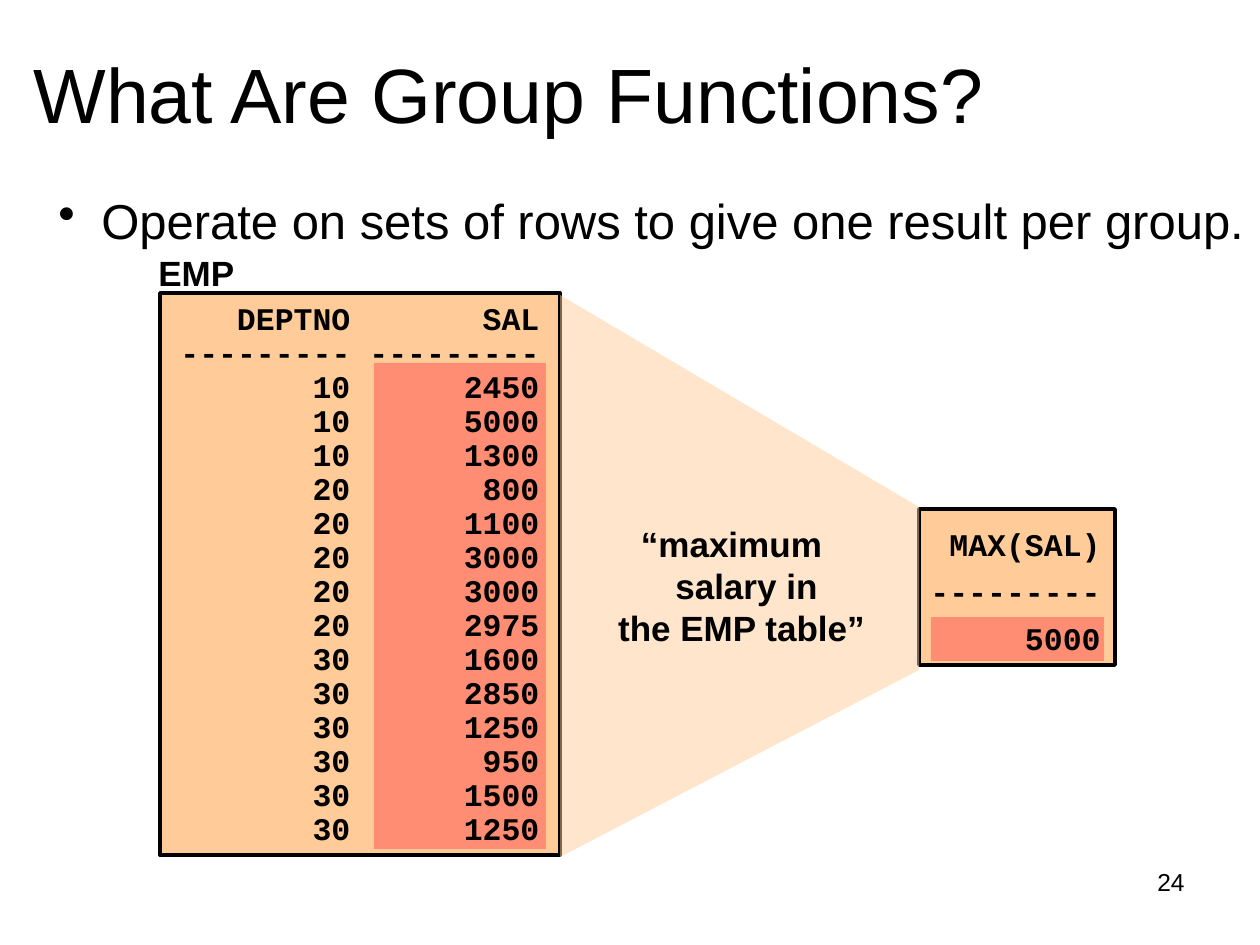
from lxml.etree import SubElement
from pptx import Presentation
from pptx.dml.color import RGBColor
from pptx.enum.shapes import MSO_SHAPE
from pptx.enum.text import MSO_ANCHOR, MSO_AUTO_SIZE, PP_ALIGN
from pptx.oxml.ns import qn
from pptx.util import Emu, Pt

PX = 914400 // 126
BLACK = RGBColor(0x00, 0x00, 0x00)
PEACH = RGBColor(0xFF, 0xCC, 0x99)
RED = RGBColor(0xFF, 0x50, 0x50)

TITLE = "What Are Group Functions?"
BULLET = "Operate on sets of rows to give one result per group."
RULE = "-" * 9
EMP_ROWS = [
    (10, 2450), (10, 5000), (10, 1300),
    (20, 800), (20, 1100), (20, 3000), (20, 3000), (20, 2975),
    (30, 1600), (30, 2850), (30, 1250), (30, 950), (30, 1500), (30, 1250),
]
MAX_LINES = ["MAX(SAL)", RULE, "5000"]
CAPTION = [  # text, left and right margin in px
    ("“maximum", 0, 20),
    ("salary in", 10, 0),
    ("the EMP table”", 0, 0),
]

EMP_BOX = (160, 293, 400, 562)
MAX_BOX = (919, 509, 196, 156)
HIGHLIGHTS = [(374, 363, 172, 486), (931, 617, 173, 44)]
BEAM = [(560, 857), (560, 295), (919, 507), (919, 670)]
COLUMN_ENDS = (170, 359)

SANS = {"name": "Arial", "size": Pt(20), "bold": True}
MONO = {"name": "Courier New", "size": Pt(18), "bold": True}


def px(*values):
    return [Emu(v * PX) for v in values]


def paint(shape, color, opacity=100, outlined=False):
    shape.shadow.inherit = False
    shape.fill.solid()
    shape.fill.fore_color.rgb = color
    if opacity < 100:
        clr = shape.fill._xPr.find(qn("a:solidFill"))[0]
        SubElement(clr, qn("a:alpha"), val=str(opacity * 1000))
    if outlined:
        shape.line.color.rgb = BLACK
        shape.line.width = Pt(2)
    else:
        shape.line.fill.background()


def add_rect(s, box, color, **style):
    paint(s.shapes.add_shape(MSO_SHAPE.RECTANGLE, *px(*box)), color, **style)


def write(shape, lines, font, align=PP_ALIGN.LEFT, spacing=1.0, wrap=True):
    """Fill the shape with one paragraph per line and return the paragraphs."""
    tf = shape.text_frame
    tf.text = "\n".join(lines)
    tf.word_wrap = wrap
    tf.auto_size = MSO_AUTO_SIZE.NONE
    tf.vertical_anchor = MSO_ANCHOR.TOP
    for p in tf.paragraphs:
        p.alignment = align
        p.line_spacing = spacing
        for r in p.runs:
            r.font.color.rgb = BLACK
            for name, value in font.items():
                setattr(r.font, name, value)
    return tf.paragraphs


def add_text(s, box, lines, font, **style):
    return write(s.shapes.add_textbox(*px(*box)), lines, font, **style)


def set_margins(p, **margins):
    for name, value in margins.items():
        p._p.get_or_add_pPr().set(name, str(value * PX))


def add_bullet(p):
    set_margins(p, marL=57, indent=-43)
    SubElement(p._p.get_or_add_pPr(), qn("a:buChar"), char="•")


def add_right_tabs(p, ends):
    tabs = SubElement(p._p.get_or_add_pPr(), qn("a:tabLst"))
    for end in ends:
        SubElement(tabs, qn("a:tab"), pos=str(end * PX), algn="r")


def main():
    prs = Presentation()
    prs.slide_width, prs.slide_height = px(1260, 945)
    s = prs.slides.add_slide(prs.slide_layouts[5])

    title = s.shapes.title
    title.left, title.top, title.width, title.height = px(21, 32, 1071, 158)
    write(title, [TITLE], {"name": "Arial", "size": Pt(44)})
    title.text_frame.margin_top = Emu(15 * PX)

    bullet, = add_text(s, (32, 193, 1239, 63), [BULLET],
                       {"name": "Arial", "size": Pt(28)}, spacing=0.85)
    add_bullet(bullet)

    add_rect(s, MAX_BOX, PEACH, outlined=True)
    add_rect(s, EMP_BOX, PEACH, outlined=True)
    add_text(s, (146, 245, 102, 54), ["EMP"], SANS, wrap=False)

    beam = s.shapes.build_freeform(*BEAM[0], scale=PX)
    beam.add_line_segments(BEAM[1:], close=True)
    paint(beam.convert_to_shape(), PEACH, opacity=50)

    caption = add_text(s, (605, 516, 273, 139), [c[0] for c in CAPTION],
                       SANS, align=PP_ALIGN.CENTER)
    for p, (_, left, right) in zip(caption, CAPTION):
        set_margins(p, marL=left, marR=right)

    for box in HIGHLIGHTS:
        add_rect(s, box, RED, opacity=50)

    table = [("DEPTNO", "SAL"), (RULE, RULE)] + EMP_ROWS
    # The rules fill their columns, so a single space separates them.
    lines = [f"{a} {b}" if a == RULE else f"\t{a}\t{b}" for a, b in table]
    for p in add_text(s, (168, 297, 440, 557), lines, MONO, spacing=0.9):
        add_right_tabs(p, COLUMN_ENDS)

    add_text(s, (917, 509, 196, 155), MAX_LINES, MONO,
             align=PP_ALIGN.RIGHT, spacing=1.25, wrap=False)
    add_text(s, (903, 861, 294, 66), ["24"],
             {"name": "Arial", "size": Pt(14)}, align=PP_ALIGN.RIGHT)

    prs.save("out.pptx")


if __name__ == "__main__":
    main()
